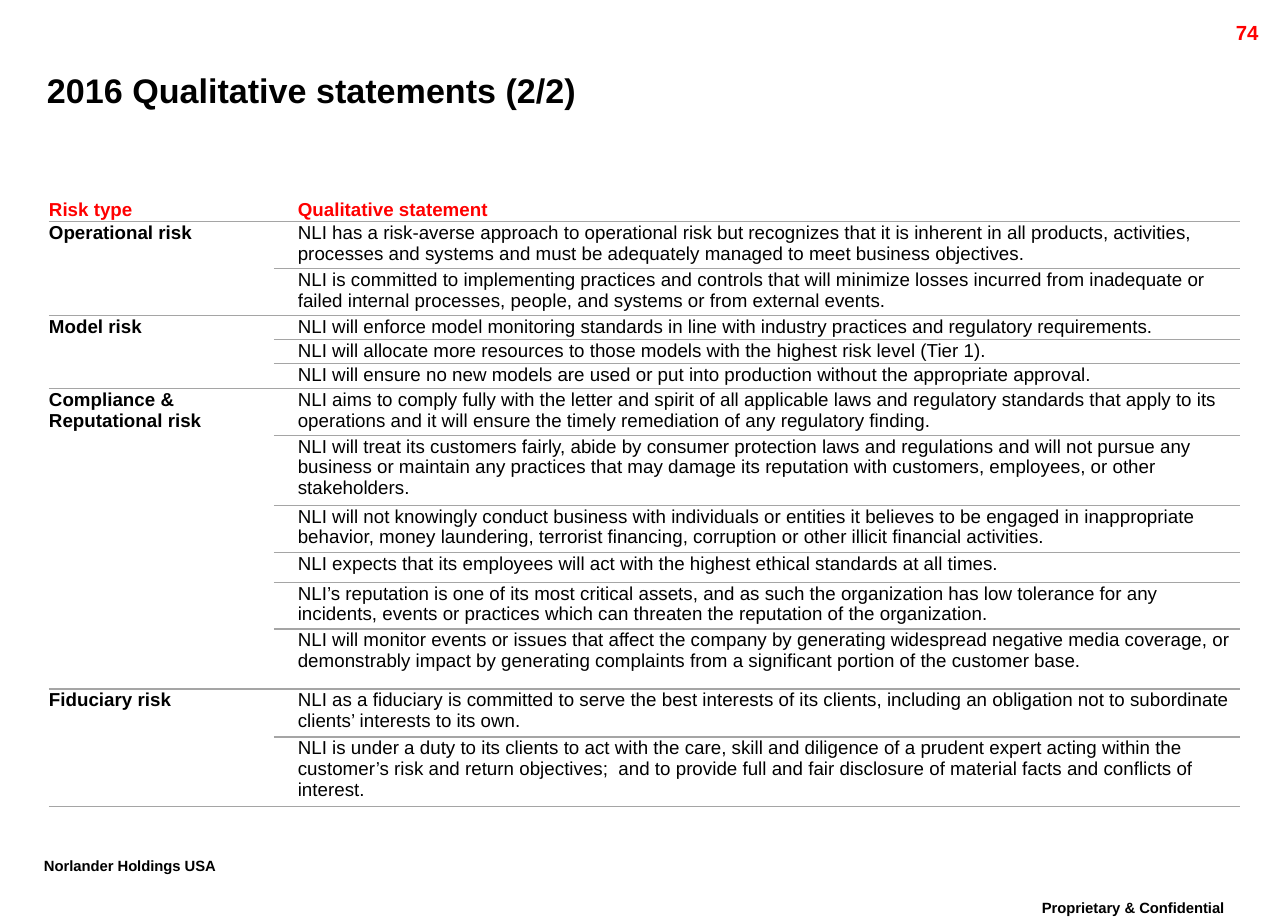
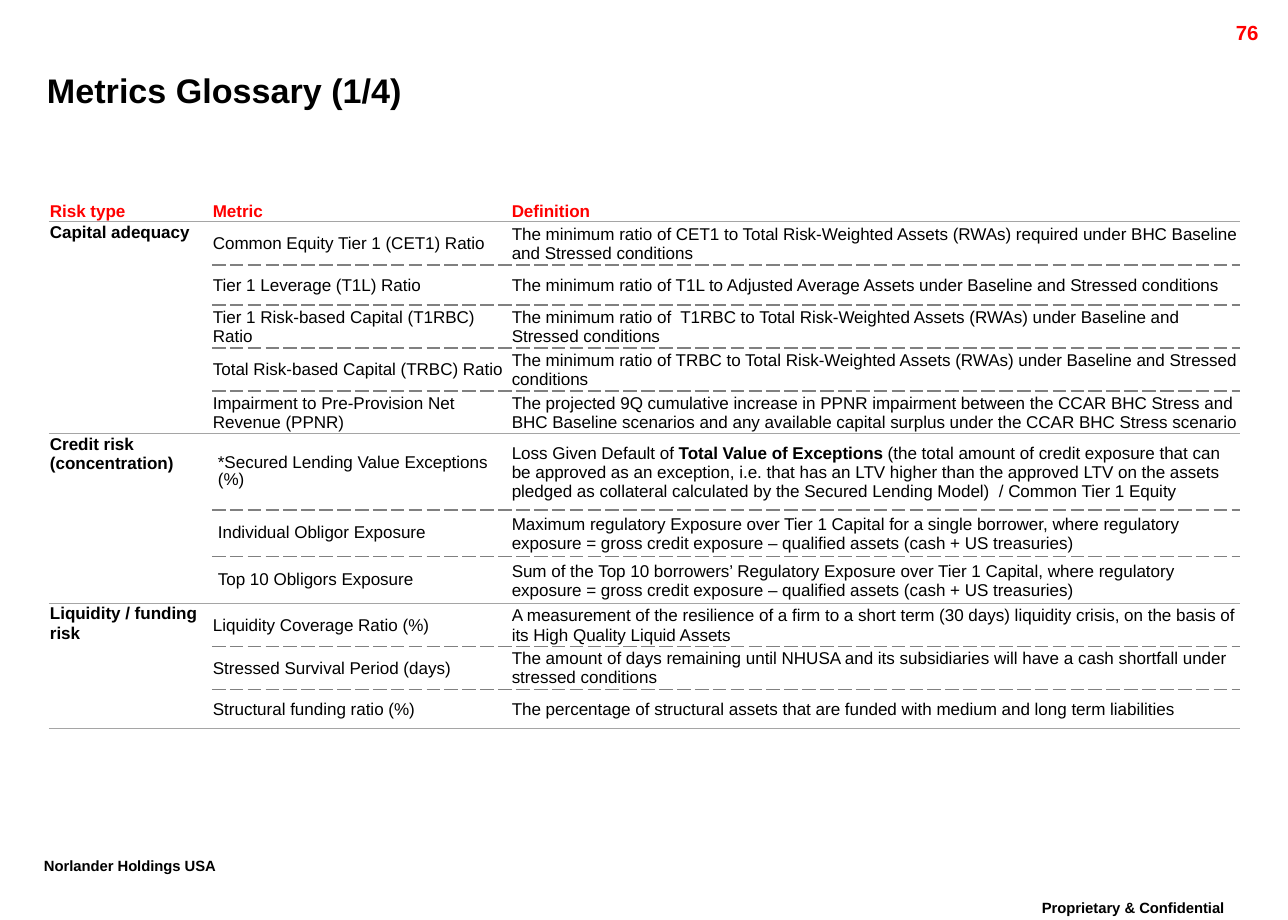
from dataclasses import dataclass

from lxml import etree
from pptx import Presentation
from pptx.dml.color import RGBColor
from pptx.enum.text import MSO_ANCHOR, PP_ALIGN
from pptx.oxml.ns import qn
from pptx.util import Inches, Pt

TOP, MIDDLE = MSO_ANCHOR.TOP, MSO_ANCHOR.MIDDLE
LEFT, CENTER, RIGHT = PP_ALIGN.LEFT, PP_ALIGN.CENTER, PP_ALIGN.RIGHT
PLAIN_TABLE = "{2D5ABB26-0587-4C30-8999-92F81FD0307C}"
EMU_PER_PX = 7452


@dataclass(frozen=True)
class Theme:
    font: str = "Arial"
    text: str = "000000"
    accent: str = "FF0000"
    paper: str = "FFFFFF"
    title_size: int = 20
    page_size: int = 12
    footer_size: int = 15


THEME = Theme()

# Rules: colour, width in points, dash
SOLID = ("A5A5A5", 0.75, "solid")
DASHED = ("808080", 1, "sysDash")

# Each group: risk type, then rows of (height, cell texts)
STATEMENTS = [
    ("Operational risk", [
        (47, "NLI has a risk-averse approach to operational risk but recognizes that it is inherent in all "
             "products, activities, processes and systems and must be adequately managed to meet business "
             "objectives."),
        (47, "NLI is committed to implementing practices and controls that will minimize losses incurred from "
             "inadequate or failed internal processes, people, and systems or from external events."),
    ]),
    ("Model risk", [
        (24, "NLI will enforce model monitoring standards in line with industry practices and regulatory "
             "requirements."),
        (24, "NLI will allocate more resources to those models with the highest risk level (Tier 1)."),
        (25, "NLI will ensure no new models are used or put into production without the appropriate approval."),
    ]),
    ("Compliance & Reputational risk", [
        (47, "NLI aims to comply fully with the letter and spirit of all applicable laws and regulatory "
             "standards that apply to its operations and it will ensure the timely remediation of any "
             "regulatory finding."),
        (70, "NLI will treat its customers fairly, abide by consumer protection laws and regulations and will "
             "not pursue any business or maintain any practices that may damage its reputation with customers, "
             "employees, or other stakeholders."),
        (47, "NLI will not knowingly conduct business with individuals or entities it believes to be engaged in "
             "inappropriate behavior, money laundering, terrorist financing, corruption or other illicit "
             "financial activities."),
        (30, "NLI expects that its employees will act with the highest ethical standards at all times."),
        (47, "NLI’s reputation is one of its most critical assets, and as such the organization has low "
             "tolerance for any incidents, events or practices which can threaten the reputation of the "
             "organization."),
        (60, "NLI will monitor events or issues that affect the company by generating widespread negative media "
             "coverage, or demonstrably impact by generating complaints from a significant portion of the "
             "customer base."),
    ]),
    ("Fiduciary risk", [
        (48, "NLI as a fiduciary is committed to serve the best interests of its clients, including an "
             "obligation not to subordinate clients’ interests to its own."),
        (70, "NLI is under a duty to its clients to act with the care, skill and diligence of a prudent expert "
             "acting within the customer’s risk and return objectives;  and to provide full and fair disclosure "
             "of material facts and conflicts of interest."),
    ]),
]

GLOSSARY = [
    ("Capital adequacy", [
        (43, "Common Equity Tier 1 (CET1) Ratio",
         "The minimum ratio of CET1 to Total Risk-Weighted Assets (RWAs) required under BHC Baseline and "
         "Stressed conditions"),
        (40, "Tier 1 Leverage (T1L) Ratio",
         "The minimum ratio of T1L to Adjusted Average Assets under Baseline and Stressed conditions"),
        (43, "Tier 1 Risk-based Capital (T1RBC) Ratio",
         "The minimum ratio of  T1RBC to Total Risk-Weighted Assets (RWAs) under Baseline and Stressed "
         "conditions"),
        (43, "Total Risk-based Capital (TRBC) Ratio",
         "The minimum ratio of TRBC to Total Risk-Weighted Assets (RWAs) under Baseline and Stressed "
         "conditions"),
        (43, "Impairment to Pre-Provision Net Revenue (PPNR)",
         "The projected 9Q cumulative increase in PPNR impairment between the CCAR BHC Stress and BHC Baseline "
         "scenarios and any available capital surplus under the CCAR BHC Stress scenario"),
    ]),
    ("Credit risk (concentration)", [
        (76, "*Secured Lending Value Exceptions (%)",
         [("Loss Given Default of ", False), ("Total Value of Exceptions ", True),
          ("(the total amount of credit exposure that can be approved as an exception, i.e. that has an LTV "
           "higher than the approved LTV on the assets pledged as collateral calculated by the Secured Lending "
           "Model)  / Common Tier 1 Equity", False)]),
        (47, "Individual Obligor Exposure",
         "Maximum regulatory Exposure over Tier 1 Capital for a single borrower, where regulatory exposure = "
         "gross credit exposure – qualified assets (cash + US treasuries)"),
        (47, "Top 10 Obligors Exposure",
         "Sum of the Top 10 borrowers’ Regulatory Exposure over Tier 1 Capital, where regulatory exposure = "
         "gross credit exposure – qualified assets (cash + US treasuries)"),
    ]),
    ("Liquidity / funding risk", [
        (43, "Liquidity Coverage Ratio (%)",
         "A measurement of the resilience of a firm to a short term (30 days) liquidity crisis, on the basis of "
         "its High Quality Liquid Assets"),
        (43, "Stressed Survival Period (days)",
         "The amount of days remaining until NHUSA and its subsidiaries will have a cash shortfall under "
         "stressed conditions"),
        (39, "Structural funding ratio (%)",
         "The percentage of structural assets that are funded with medium and long term liabilities"),
    ]),
]
INDENTED_GROUP = "Credit risk (concentration)"


def px(n):
    return n * EMU_PER_PX


def write(tf, text, size, color=THEME.text, bold=False, align=LEFT, spacing=None, baseline=None):
    """Write one paragraph; text is a string or a list of (text, bold) runs."""
    p = tf.paragraphs[0]
    p.alignment = align
    if spacing:
        p.line_spacing = spacing
    for part, is_bold in [(text, bold)] if isinstance(text, str) else text:
        r = p.add_run()
        r.text = part
        r.font.name, r.font.size, r.font.bold = THEME.font, Pt(size), is_bold
        r.font.color.rgb = RGBColor.from_string(color)
        if baseline:
            r.font._element.set("baseline", str(baseline))


def add_text(s, box, text, size, wrap=True, **fmt):
    tf = s.shapes.add_textbox(*map(px, box)).text_frame
    tf.word_wrap = wrap
    write(tf, text, size, **fmt)


def add_title(s, text):
    sp = s.shapes.title
    sp.left, sp.top, sp.width, sp.height = map(px, (47, 60, 1163, 59))
    tf = sp.text_frame
    tf.margin_left = tf.margin_right = tf.margin_top = tf.margin_bottom = 0
    tf.vertical_anchor = MIDDLE
    write(tf, text, THEME.title_size, bold=True)


def new_slide(prs, title, page):
    """Slide with the shared title, page number and footers."""
    s = prs.slides.add_slide(prs.slide_layouts[5])
    footer = dict(size=THEME.footer_size, bold=True, baseline=30000)
    add_text(s, (1000, 890, 267, 39), "Proprietary & Confidential", align=CENTER, **footer)
    add_text(s, (32, 848, 234, 39), "Norlander Holdings USA", wrap=False, **footer)
    add_text(s, (1148, 14, 123, 29), page, THEME.page_size, color=THEME.accent, bold=True, align=RIGHT)
    add_title(s, title)
    return s


def set_rules(cell, top=None, bottom=None):
    """Draw the horizontal rules of a cell, ahead of its fill."""
    tcPr = cell._tc.get_or_add_tcPr()
    edges = [("a:lnL", None), ("a:lnR", None), ("a:lnT", top), ("a:lnB", bottom)]
    for i, (tag, rule) in enumerate(edges):
        ln = etree.Element(qn(tag))
        tcPr.insert(i, ln)
        if rule is None:
            etree.SubElement(ln, qn("a:noFill"))
            continue
        color, width, dash = rule
        ln.set("w", str(Pt(width)))
        fill = etree.SubElement(ln, qn("a:solidFill"))
        etree.SubElement(fill, qn("a:srgbClr"), val=color)
        etree.SubElement(ln, qn("a:prstDash"), val=dash)


def fill_cell(cell, text, size, top=None, bottom=None, inset=1, anchor=TOP, **fmt):
    cell.fill.solid()
    cell.fill.fore_color.rgb = RGBColor.from_string(THEME.paper)
    set_rules(cell, top, bottom)
    cell.margin_left, cell.margin_right = px(inset), px(1)
    cell.margin_top, cell.margin_bottom = px(1), 0
    cell.vertical_anchor = anchor
    write(cell.text_frame, text, size, **fmt)


def add_risk_table(s, top, widths, header_height, headers, groups, size, inner, anchor, insets):
    """Table whose first column spans the rows of each risk group."""
    heights = [header_height] + [row[0] for _, rows in groups for row in rows]
    frame = s.shapes.add_table(len(heights), len(widths), px(49), px(top), px(sum(widths)), px(sum(heights)))
    table = frame.table
    table.first_row = table.horz_banding = False
    frame._element.find(".//" + qn("a:tableStyleId")).text = PLAIN_TABLE
    for column, width in zip(table.columns, widths):
        column.width = px(width)
    for row, height in zip(table.rows, heights):
        row.height = px(height)

    for c, text in enumerate(headers):
        fill_cell(table.cell(0, c), text, size, bottom=SOLID, inset=insets[c], anchor=MIDDLE,
                  color=THEME.accent, bold=True)

    first = 1
    for risk, rows in groups:
        last = first + len(rows) - 1
        fill_cell(table.cell(first, 0), risk, size, SOLID, SOLID, inset=insets[0], bold=True)
        table.cell(first, 0).merge(table.cell(last, 0))
        for r, (_, *texts) in enumerate(rows, first):
            above = SOLID if r == first else inner
            below = SOLID if r == last else inner
            for c, text in enumerate(texts, 1):
                indented = risk == INDENTED_GROUP and c == 1
                fill_cell(table.cell(r, c), text, size, above, below, anchor=anchor,
                          inset=6 if indented else insets[c], spacing=Pt(10) if indented else None)
        first = last + 1


def main():
    prs = Presentation()
    prs.slide_width, prs.slide_height = Inches(10.5), Inches(7.5)

    # Qualitative statements
    s = new_slide(prs, "2016 Qualitative statements (2/2)", "74")
    add_risk_table(s, 198, (225, 966), 23, ("Risk type", "Qualitative statement"), STATEMENTS,
                   size=11, inner=SOLID, anchor=TOP, insets=(0, 24))

    # Metrics glossary
    s = new_slide(prs, "Metrics Glossary (1/4)", "76")
    add_risk_table(s, 200, (163, 299, 729), 22, ("Risk type", "Metric", "Definition"), GLOSSARY,
                   size=10, inner=DASHED, anchor=MIDDLE, insets=(1, 1, 1))

    prs.save("out.pptx")


if __name__ == "__main__":
    main()
